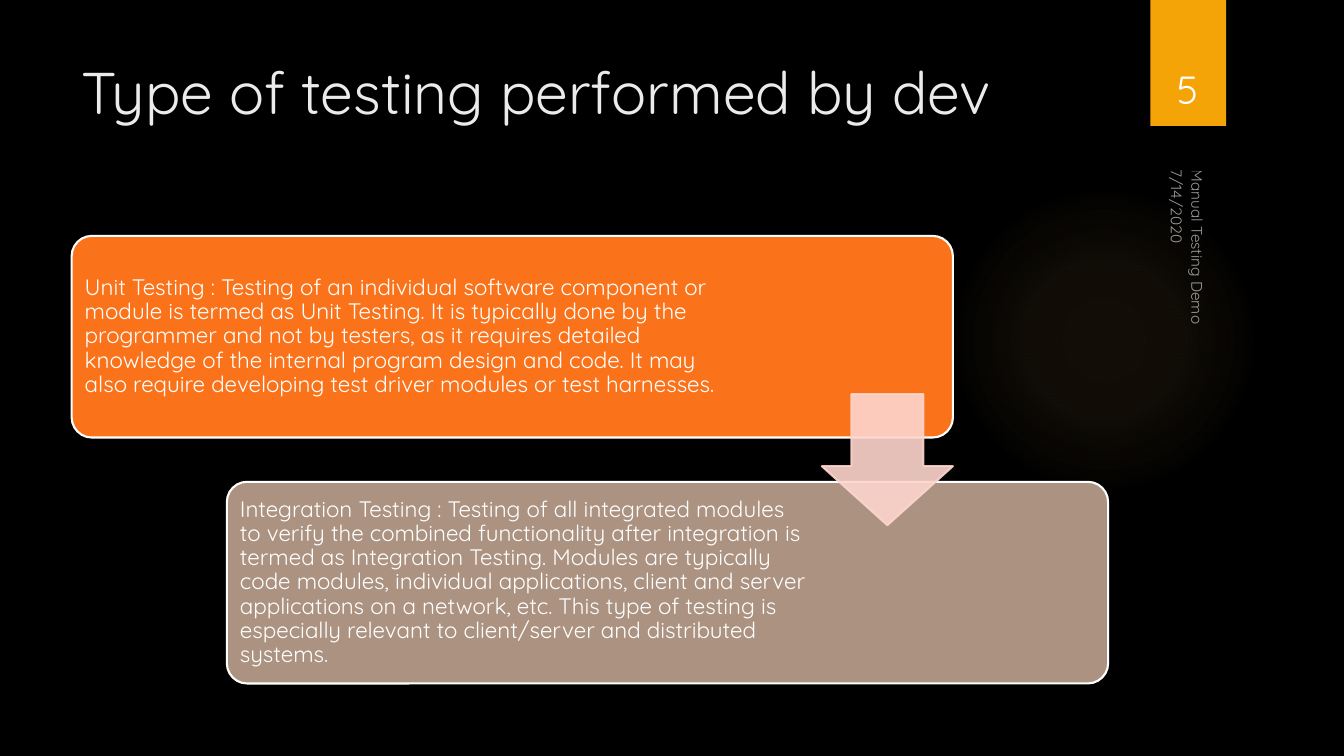
"""Build the slide on the types of testing performed by developers."""
from lxml.etree import SubElement
from pptx import Presentation
from pptx.dml.color import RGBColor
from pptx.enum.shapes import MSO_SHAPE
from pptx.enum.text import MSO_ANCHOR, PP_ALIGN
from pptx.oxml import parse_xml
from pptx.oxml.ns import nsdecls, qn
from pptx.util import Inches, Pt

COLORS = {
    "background": "000000",
    "glow": "FAC96A",
    "ribbon": "F5A408",
    "title": "EBEBEB",
    "unit": "FA731A",
    "integration": "AB9281",
    "arrow": "FDD5CD",
    "white": "FFFFFF",
}
FONT = "Quicksand"
CARD_LEFT, CARD_TOP, CARD_WIDTH, CARD_HEIGHT = 5.33, 31.2, 65.57, 26.67
STEP_X, STEP_Y = 11.55, 32.53
PAD_X, PAD_Y = 0.45, 0.8
ARROW_WIDTH, ARROW_HEIGHT = 9.75, 17.33

TESTS = [
    ("unit", 50.1,
     "Unit Testing : Testing of an individual software component or module is "
     "termed as Unit Testing. It is typically done by the programmer and not by "
     "testers, as it requires detailed knowledge of the internal program design "
     "and code. It may also require developing test driver modules or test "
     "harnesses."),
    ("integration", 43.36,
     "Integration Testing : Testing of all integrated modules to verify the "
     "combined functionality after integration is termed as Integration Testing. "
     "Modules are typically code modules, individual applications, client and "
     "server applications on a network, etc. This type of testing is especially "
     "relevant to client/server and distributed systems."),
]


def rgb(name):
    return RGBColor.from_string(COLORS[name])


def set_alpha(properties, percent):
    for color in properties.iter(qn("a:srgbClr")):
        SubElement(color, qn("a:alpha")).set("val", str(percent * 1000))


def write(frame, text, size, color="white", align=PP_ALIGN.LEFT,
          anchor=MSO_ANCHOR.TOP, spacing=None, inset=None, alpha=None):
    frame.word_wrap = True
    frame.vertical_anchor = anchor
    if inset is not None:
        frame.margin_left = frame.margin_right = Inches(inset)
        frame.margin_top = frame.margin_bottom = Inches(inset)
    paragraph = frame.paragraphs[0]
    paragraph.alignment = align
    paragraph.line_spacing = spacing
    run = paragraph.add_run()
    run.text = text
    run.font.name = FONT
    run.font.size = Pt(size)
    run.font.color.rgb = rgb(color)
    if alpha is not None:
        set_alpha(run.font.fill._xPr, alpha)


class TestingSlide:
    """Hold the style and the current slide, with lengths in percent of its size."""

    def __init__(self, deck):
        self.width, self.height = deck.slide_width, deck.slide_height
        self.slide = deck.slides.add_slide(deck.slide_layouts[5])
        backdrop = self.slide.background.fill
        backdrop.solid()
        backdrop.fore_color.rgb = rgb("background")

    def box(self, left, top, width, height):
        return (round(left * self.width / 100), round(top * self.height / 100),
                round(width * self.width / 100), round(height * self.height / 100))

    def title(self, place, text):
        heading = self.slide.shapes.title
        heading.left, heading.top, heading.width, heading.height = self.box(*place)
        write(heading.text_frame, text, 42, "title")

    def shape(self, kind, place, fill, line=None, adjust=(), alpha=None):
        figure = self.slide.shapes.add_shape(kind, *self.box(*place))
        figure.shadow.inherit = False
        figure.fill.solid()
        figure.fill.fore_color.rgb = rgb(fill)
        if line:
            figure.line.color.rgb = rgb(line)
            figure.line.width = Pt(1.5)
        else:
            figure.line.fill.background()
        for index, value in enumerate(adjust):
            figure.adjustments[index] = value
        if alpha is not None:
            set_alpha(figure._element.spPr, alpha)
        return figure

    def glow(self, place):
        halo = self.shape(MSO_SHAPE.OVAL, place, "glow")
        stops = "".join(
            f'<a:gs pos="{position * 1000}"><a:srgbClr val="{COLORS["glow"]}">'
            f'<a:alpha val="{alpha * 1000}"/></a:srgbClr></a:gs>'
            for position, alpha in ((0, 7), (36, 6), (69, 0)))
        gradient = parse_xml(
            f'<a:gradFill {nsdecls("a")} rotWithShape="1"><a:gsLst>{stops}</a:gsLst>'
            '<a:path path="circle"><a:fillToRect l="50000" t="50000" r="50000" '
            'b="50000"/></a:path></a:gradFill>')
        properties = halo._element.spPr
        properties.replace(properties.find(qn("a:solidFill")), gradient)

    def text(self, place, text, size, rotation=0, **style):
        label = self.slide.shapes.add_textbox(*self.box(*place))
        label.rotation = rotation
        write(label.text_frame, text, size, **style)

    def card(self, left, top, fill, text_width, text):
        self.shape(MSO_SHAPE.ROUNDED_RECTANGLE, (left, top, CARD_WIDTH, CARD_HEIGHT),
                   fill, line="white", adjust=(0.1,))
        self.text((left + PAD_X, top + PAD_Y, text_width, CARD_HEIGHT - 2 * PAD_Y),
                  text, 16, anchor=MSO_ANCHOR.MIDDLE, spacing=0.9, inset=0.07)


def main():
    deck = Presentation()
    deck.slide_width, deck.slide_height = Inches(13.33), Inches(7.5)
    page = TestingSlide(deck)
    page.glow((70.6, 24.4, 23.1, 41.07))
    page.shape(MSO_SHAPE.RECTANGLE, (85.6, 0, 5.63, 16.67), "ribbon")
    page.title((5.33, 6.67, 77.2, 20.4), "Type of testing performed by dev")

    for order, (fill, text_width, text) in enumerate(TESTS):
        page.card(CARD_LEFT + order * STEP_X, CARD_TOP + order * STEP_Y,
                  fill, text_width, text)

    gap_middle = CARD_TOP + (CARD_HEIGHT + STEP_Y) / 2
    page.shape(MSO_SHAPE.DOWN_ARROW,
               (CARD_LEFT + CARD_WIDTH - ARROW_WIDTH, gap_middle - ARROW_HEIGHT / 2,
                ARROW_WIDTH, ARROW_HEIGHT),
               "arrow", line="arrow", adjust=(0.55, 0.45), alpha=90)

    page.text((83.35, 26.13, 8.1, 4.4), "7/14/2020", 11, rotation=90, alpha=60)
    page.text((73.44, 47.07, 31.66, 4.4), "Manual Testing Demo", 11, rotation=90,
              anchor=MSO_ANCHOR.BOTTOM, alpha=60)
    page.text((84.92, 4.27, 6.9, 11.2), "5", 28, align=PP_ALIGN.CENTER,
              anchor=MSO_ANCHOR.BOTTOM)
    deck.save("out.pptx")


if __name__ == "__main__":
    main()
